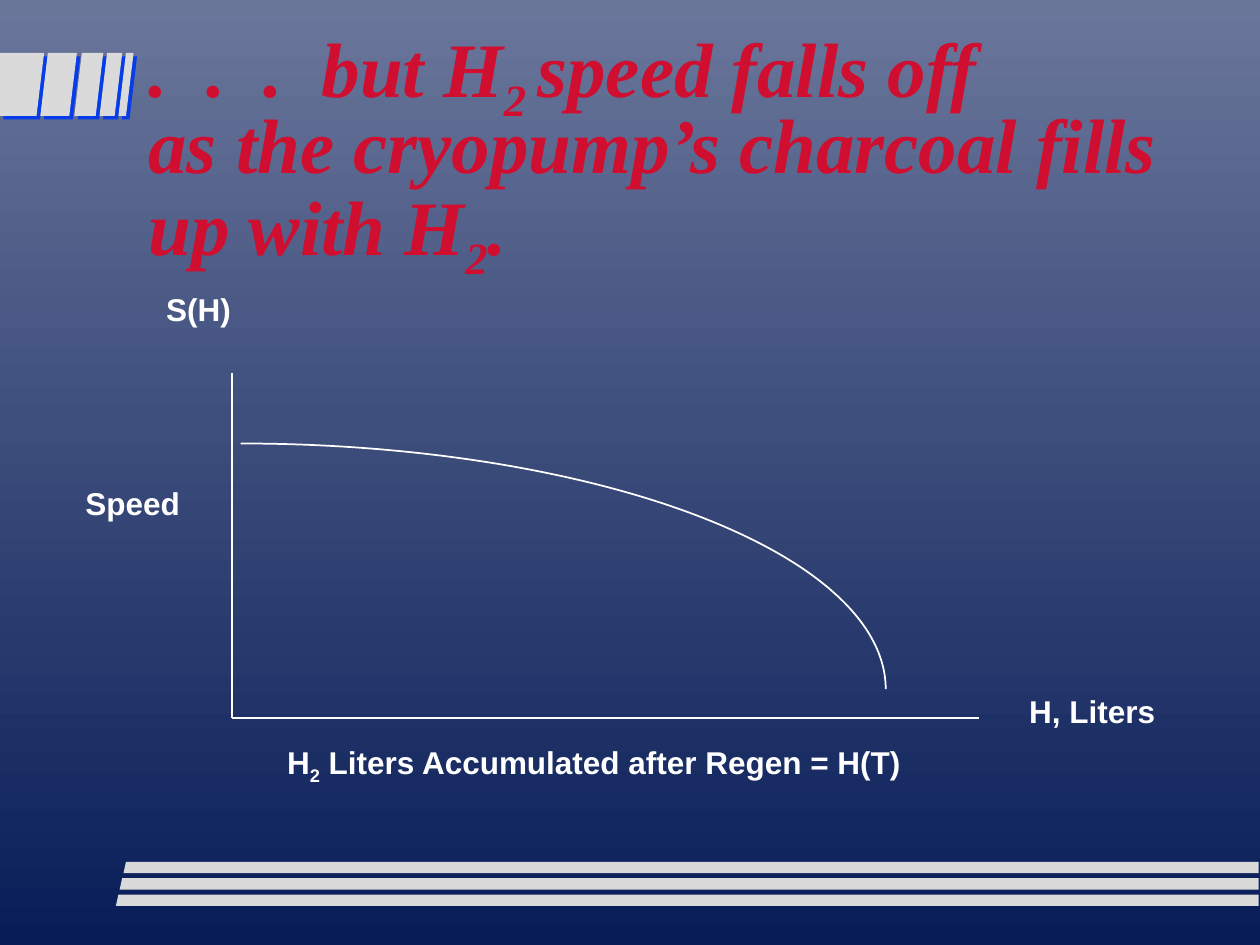
from dataclasses import dataclass

from lxml import etree
from pptx import Presentation
from pptx import util as u
from pptx.dml.color import RGBColor
from pptx.enum import shapes, text
from pptx.oxml.ns import qn

SCALE = 9144
WHITE, SILVER, BLUE, RED = "FFFFFF", "DADADA", "063DE8", "CF0E30"


@dataclass(frozen=True)
class Span:
    words: str
    subscript: bool = False


@dataclass(frozen=True)
class Style:
    font: str
    size: int
    color: str
    italic: bool = False


@dataclass(frozen=True)
class Label:
    left: int
    top: int
    width: int
    height: int
    spans: tuple[Span, ...]


@dataclass(frozen=True)
class Axis:
    start: tuple[int, int]
    end: tuple[int, int]


@dataclass(frozen=True)
class Slant:
    left: int
    right: int
    top: int
    height: int
    left_lean: int
    right_lean: int


TITLE_STYLE = Style("Times New Roman", 44, RED, italic=True)
LABEL_STYLE = Style("Arial", 18, WHITE)

TITLE = Label(108, 92, 850, 129, (
    Span(".  .  .  but H"), Span("2 ", True), Span("speed falls off"), Span("\n"),
    Span("as the cryopump’s charcoal fills up with H"), Span("2", True), Span("."),
))
LABELS = [
    Label(218, 585, 508, 44, (
        Span("H"), Span("2", True), Span(" Liters Accumulated after Regen = H(T)"),
    )),
    Label(807, 544, 120, 40, (Span("H, Liters"),)),
    Label(122, 225, 74, 40, (Span("S(H)"),)),
    Label(58, 379, 96, 40, (Span("Speed"),)),
]
AXES = [Axis((184, 570), (777, 570)), Axis((184, 570), (184, 296))]
BLOCK_EDGES = [(0, 35), (32, 61), (59, 82), (79, 97), (94, 106)]
BLOCKS = [Slant(left, right, 42, 50, 6 if left else 0, 6) for left, right in BLOCK_EDGES]
BARS = [Slant(92 + 3 * row, 999, 710 - 13 * row, 9, 2, 0) for row in range(3)]


def px(length: int) -> u.Emu:
    return u.Emu(length * SCALE)


def rgb(color: str) -> RGBColor:
    return RGBColor.from_string(color)


def paint_background(page) -> None:
    fill = page.background.fill
    fill.gradient()
    fill.gradient_angle = 270
    for stop, color in zip(fill.gradient_stops, ("6A769A", "081D58")):
        stop.color.rgb = rgb(color)


def draw_slant(page, slant: Slant):
    bottom = slant.top + slant.height
    builder = page.shapes.build_freeform(slant.left + slant.left_lean, slant.top, SCALE)
    builder.add_line_segments([
        (slant.right, slant.top),
        (slant.right - slant.right_lean, bottom),
        (slant.left, bottom),
    ], close=True)
    shape = builder.convert_to_shape()
    shape.shadow.inherit = False
    shape.fill.solid()
    shape.fill.fore_color.rgb = rgb(SILVER)
    shape.line.fill.background()
    return shape


def add_shadow(shape, color: str) -> None:
    effects = shape._element.spPr.find(qn("a:effectLst"))
    shadow = etree.SubElement(effects, qn("a:outerShdw"), dist=str(u.Pt(2.8)),
                              dir="2700000", algn="ctr", rotWithShape="0")
    etree.SubElement(shadow, qn("a:srgbClr"), val=color)


def style_line(line) -> None:
    line.color.rgb = rgb(WHITE)
    line.width = u.Pt(1)


def draw_axis(page, axis: Axis) -> None:
    connector = page.shapes.add_connector(
        shapes.MSO_CONNECTOR.STRAIGHT, *map(px, axis.start + axis.end))
    style_line(connector.line)
    etree.SubElement(connector._element.spPr, qn("a:effectLst"))


def draw_speed_curve(page) -> None:
    curve = page.shapes.add_shape(
        shapes.MSO_SHAPE.ARC, px(-321), px(352), px(1024), px(390))
    curve.shadow.inherit = False
    curve.fill.background()
    style_line(curve.line)


def draw_text(page, label: Label, style: Style):
    box = page.shapes.add_textbox(
        px(label.left), px(label.top), px(label.width), px(label.height))
    para = box.text_frame.paragraphs[0]
    for part in label.spans:
        if part.words == "\n":
            para.add_line_break()
            continue
        span = para.add_run()
        span.text = part.words
        span.font.name = style.font
        span.font.size = u.Pt(style.size)
        span.font.bold = True
        span.font.italic = style.italic
        span.font.color.rgb = rgb(style.color)
        if part.subscript:
            span.font._element.set("baseline", "-25000")
    return box


def draw_title(page) -> None:
    frame = draw_text(page, TITLE, TITLE_STYLE).text_frame
    frame.word_wrap = True
    frame.vertical_anchor = text.MSO_ANCHOR.BOTTOM
    frame.paragraphs[0].line_spacing = 0.8


def draw_label(page, label: Label) -> None:
    frame = draw_text(page, label, LABEL_STYLE).text_frame
    frame.word_wrap = False
    frame.auto_size = text.MSO_AUTO_SIZE.SHAPE_TO_FIT_TEXT


def main() -> None:
    deck = Presentation()
    deck.slide_width, deck.slide_height = px(1000), px(750)
    page = deck.slides.add_slide(deck.slide_layouts[6])
    paint_background(page)
    for block in BLOCKS:
        add_shadow(draw_slant(page, block), BLUE)
    for bar in BARS:
        draw_slant(page, bar)
    draw_title(page)
    for axis in AXES:
        draw_axis(page, axis)
    draw_speed_curve(page)
    for label in LABELS:
        draw_label(page, label)
    deck.save("out.pptx")


if __name__ == "__main__":
    main()
